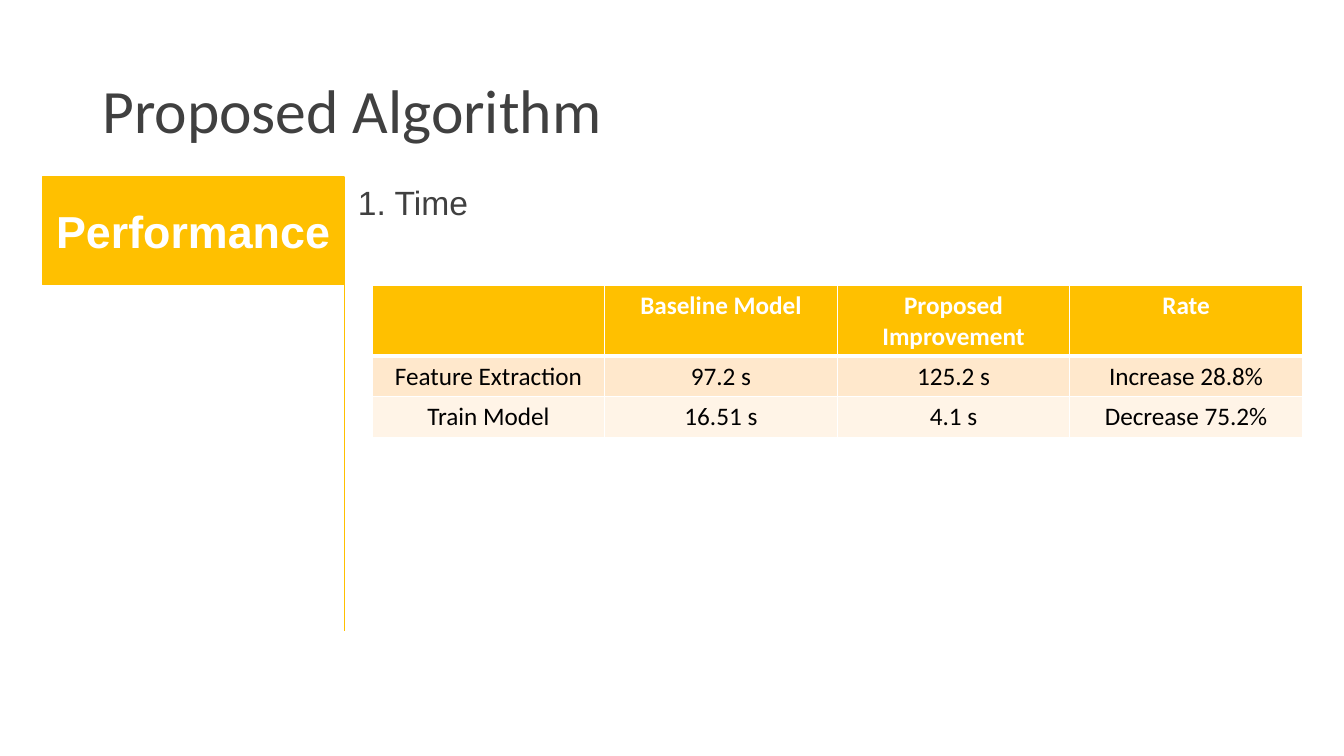
from lxml import etree
from pptx import Presentation
from pptx import util as u
from pptx.dml import color
from pptx.enum import shapes, text
from pptx.oxml import ns

GOLD, WHITE, GREY, BLACK = "FFC000", "FFFFFF", "404040", "000000"
BAND_FILLS = ["FFE8CC", "FFF4E7"]
TIMINGS = [
    ["", "Baseline Model", "Proposed Improvement", "Rate"],
    ["Feature Extraction", "97.2 s", "125.2 s", "Increase 28.8%"],
    ["Train Model", "16.51 s", "4.1 s", "Decrease 75.2%"],
]


def rgb(value):
    return color.RGBColor.from_string(value)


class SlideBuilder:
    heading_font = "Calibri"
    body_font = "Arial"

    def __init__(self, page):
        self.page = page

    def set_words(self, frame, words, font, size, ink, bold=False, align=text.PP_ALIGN.LEFT):
        frame.text = words
        frame.word_wrap = True
        para = frame.paragraphs[0]
        para.alignment = align
        for span in para.runs:
            span.font.name = font
            span.font.size = u.Pt(size)
            span.font.bold = bold
            span.font.color.rgb = rgb(ink)
        return para

    def label(self, words, left, top, width, height, font, size, anchor):
        box = self.page.shapes.add_textbox(*map(u.Cm, (left, top, width, height)))
        box.text_frame.vertical_anchor = anchor
        return self.set_words(box.text_frame, words, font, size, GREY)

    def banner(self, words, left, top, width, height):
        box = self.page.shapes.add_shape(
            shapes.MSO_SHAPE.RECTANGLE, *map(u.Cm, (left, top, width, height)))
        box.shadow.inherit = False
        box.fill.solid()
        box.fill.fore_color.rgb = rgb(GOLD)
        box.line.color.rgb = rgb(GOLD)
        box.line.width = u.Pt(1)
        box.text_frame.vertical_anchor = text.MSO_ANCHOR.MIDDLE
        self.set_words(box.text_frame, words, self.body_font, 32, WHITE, True,
                       text.PP_ALIGN.CENTER)

    def rule(self, x, top, bottom):
        line = self.page.shapes.add_connector(
            shapes.MSO_CONNECTOR.STRAIGHT, *map(u.Cm, (x, top, x, bottom)))
        line.line.color.rgb = rgb(GOLD)
        line.line.width = u.Pt(0.5)
        etree.SubElement(line._element.spPr, ns.qn("a:effectLst"))

    def borders(self, cell, top, bottom):
        properties = cell._tc.get_or_add_tcPr()
        widths = {"a:lnL": 1, "a:lnR": 1, "a:lnT": top, "a:lnB": bottom}
        for position, (tag, width) in enumerate(widths.items()):
            edge = etree.Element(ns.qn(tag), w=str(u.Pt(width)))
            fill = etree.SubElement(edge, ns.qn("a:solidFill"))
            etree.SubElement(fill, ns.qn("a:srgbClr"), val=WHITE)
            properties.insert(position, edge)

    def table(self, rows, left, top, width, heights):
        grid = self.page.shapes.add_table(
            len(rows), len(rows[0]),
            *map(u.Cm, (left, top, width, sum(heights)))).table
        for r, values in enumerate(rows):
            header = r == 0
            grid.rows[r].height = u.Cm(heights[r])
            for c, words in enumerate(values):
                cell = grid.cell(r, c)
                cell.fill.solid()
                cell.fill.fore_color.rgb = rgb(GOLD if header else BAND_FILLS[r - 1])
                self.set_words(cell.text_frame, words, self.heading_font, 18,
                               WHITE if header else BLACK, header, text.PP_ALIGN.CENTER)
                self.borders(cell, 3 if r == 1 else 1, 3 if header else 1)


def main():
    deck = Presentation()
    deck.slide_width, deck.slide_height = u.Cm(33.87), u.Cm(19.05)
    builder = SlideBuilder(deck.slides.add_slide(deck.slide_layouts[6]))
    title = builder.label("Proposed Algorithm", 2.33, 1.01, 29.21, 3.68,
                          builder.heading_font, 44, text.MSO_ANCHOR.MIDDLE)
    title.line_spacing = 0.9
    builder.banner("Performance", 1.07, 4.46, 7.6, 2.71)
    builder.label("1. Time", 8.77, 4.46, 22.63, 1.28,
                  builder.body_font, 24, text.MSO_ANCHOR.TOP)
    builder.rule(8.69, 4.46, 15.9)
    builder.table(TIMINGS, 9.38, 7.19, 23.44, [1.78, 1.03, 1.03])
    deck.save("out.pptx")


if __name__ == "__main__":
    main()
